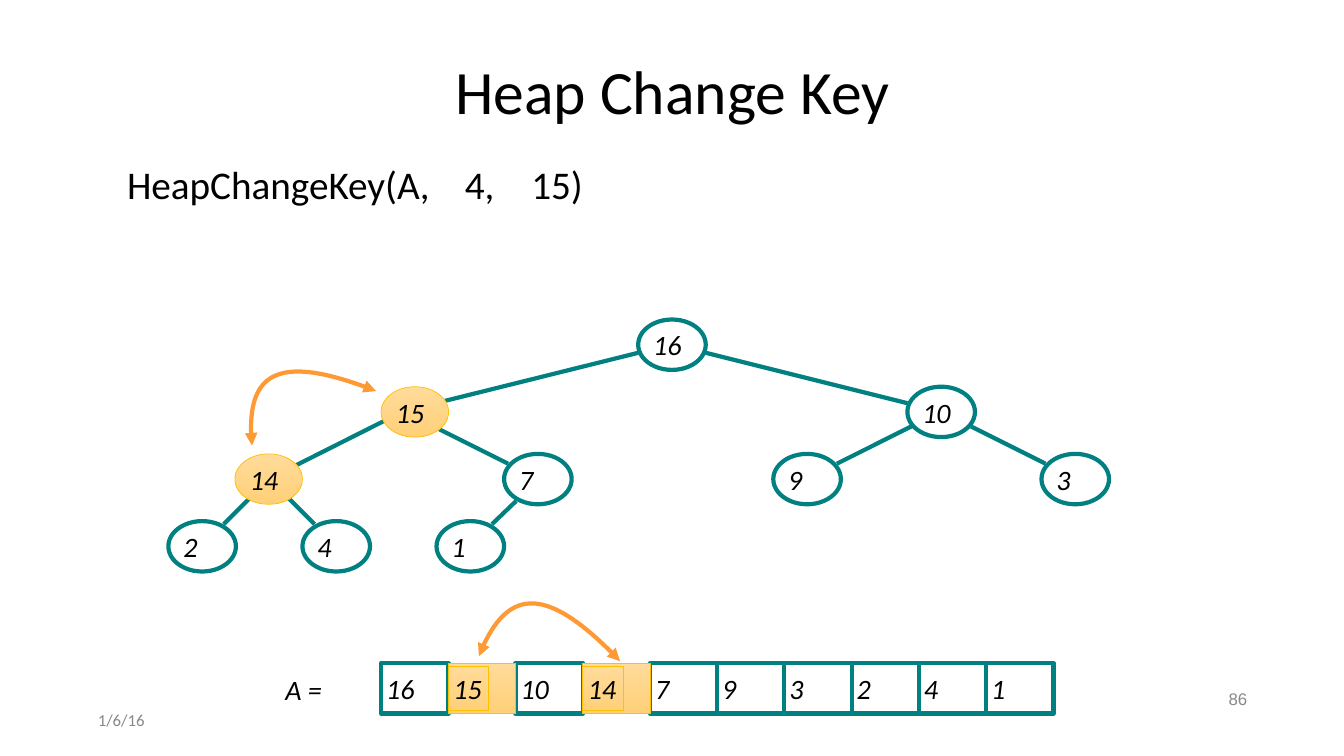
from lxml import etree
from pptx import Presentation
from pptx.dml.color import RGBColor
from pptx.enum.shapes import MSO_CONNECTOR, MSO_SHAPE
from pptx.enum.text import MSO_ANCHOR, PP_ALIGN
from pptx.oxml.ns import qn
from pptx.util import Inches, Pt

OVAL, RECT = MSO_SHAPE.OVAL, MSO_SHAPE.RECTANGLE
STRAIGHT = MSO_CONNECTOR.STRAIGHT
MIDDLE, TOP = MSO_ANCHOR.MIDDLE, MSO_ANCHOR.TOP
LEFT, CENTER, RIGHT = PP_ALIGN.LEFT, PP_ALIGN.CENTER, PP_ALIGN.RIGHT

BLACK = RGBColor(0x00, 0x00, 0x00)
WHITE = RGBColor(0xFF, 0xFF, 0xFF)
GRAY = RGBColor(0x88, 0x88, 0x88)
TEAL = RGBColor(0x00, 0x80, 0x80)
ORANGE = RGBColor(0xFF, 0x99, 0x33)
GOLD = RGBColor(0xFF, 0xC0, 0x00)
PALE = RGBColor(0xFF, 0xDB, 0x9B)
SAND = RGBColor(0xFF, 0xD0, 0x78)

# Heap in level order, with the left edge of each tree node
KEYS = [16, 15, 10, 14, 7, 9, 3, 2, 4, 1]
LEFTS = [6.33, 3.78, 9, 2.33, 5, 7.67, 10.33, 1.67, 3, 4.33]
HOT = [1, 3]
PLAIN = [i for i in range(len(KEYS)) if i not in HOT]
STEP, WIDE, HIGH = 2 / 3, 0.67, 0.5
TREE_TOP, ROW_LEFT, ROW_TOP = 3.17, 3.78, 6.58

EDGES = [
    (6.33, 3.5, 4, 4.08), (4, 4.08, 2.67, 4.75), (2.67, 4.75, 2.22, 5.2),
    (2.67, 4.75, 3.12, 5.2), (4, 4.08, 5.04, 4.6), (5.12, 4.97, 4.88, 5.2),
    (7, 3.5, 9, 4), (9.63, 4.23, 10.37, 4.6), (8.3, 4.6, 9.04, 4.23),
]
SWAPS = [
    [(6.15, 6.56), (5.47, 5.84), (5.01, 5.83), (4.75, 6.51)],
    [(3.73, 3.88), (2.83, 3.52), (2.42, 3.7), (2.5, 4.42)],
]


def write(frame, text, size=20, color=BLACK, font="Calibri", italic=False,
          align=LEFT, anchor=MIDDLE, pad=0.05, wrap=True, space=None,
          before=None):
    """Fill a text frame with one formatted paragraph; return it."""
    frame.word_wrap = wrap
    frame.vertical_anchor = anchor
    frame.margin_left = frame.margin_right = Inches(0.05)
    frame.margin_top = frame.margin_bottom = Inches(pad)
    para = frame.paragraphs[0]
    para.alignment = align
    para.line_spacing = space
    para.space_before = before
    run = para.add_run()
    run.text = text
    run.font.name, run.font.size = font, Pt(size)
    run.font.italic, run.font.color.rgb = italic, color
    return para


class Board:
    def __init__(self, deck):
        self.slide = deck.slides.add_slide(deck.slide_layouts[5])
        self.shapes = self.slide.shapes

    def title(self, text, *box):
        head = self.shapes.title
        head.left, head.top, head.width, head.height = map(Inches, box)
        write(head.text_frame, text, size=44, align=CENTER, space=0.9)

    def label(self, text, *box, **style):
        area = self.shapes.add_textbox(*map(Inches, box))
        return write(area.text_frame, text, **style)

    def box(self, kind, left, top, width=WIDE, height=HIGH, text="", hot=False):
        shape = self.shapes.add_shape(
            kind, *map(Inches, (left, top, width, height)))
        shape.shadow.inherit = False
        if hot:
            shape.fill.gradient()
            shape.fill.gradient_angle = 270
            for stop, color in zip(shape.fill.gradient_stops, (PALE, SAND)):
                stop.color.rgb = color
        else:
            shape.fill.solid()
            shape.fill.fore_color.rgb = WHITE
        shape.line.color.rgb = GOLD if hot else TEAL
        shape.line.width = Pt(0.5 if hot else 3)
        if text:
            write(shape.text_frame, text, italic=True, pad=0)

    def node(self, i):
        level = (i + 1).bit_length() - 1
        self.box(OVAL, LEFTS[i], TREE_TOP + level * STEP,
                 text=str(KEYS[i]), hot=i in HOT)

    def cell(self, i):
        left, key = ROW_LEFT + i * STEP, str(KEYS[i])
        if i in HOT:
            self.box(RECT, left, ROW_TOP, hot=True)
            self.box(RECT, left, ROW_TOP + 0.03, 0.4, 0.44, key, hot=True)
        else:
            self.box(RECT, left, ROW_TOP, text=key)

    def edge(self, *ends):
        line = self.shapes.add_connector(STRAIGHT, *map(Inches, ends))
        line.line.color.rgb, line.line.width = TEAL, Pt(3)
        etree.SubElement(line._element.spPr, qn("a:effectLst"))

    def swap(self, points):
        """Draw a cubic curve with an arrowhead at both ends."""
        start, *rest = [(Inches(x), Inches(y)) for x, y in points]
        pen = self.shapes.build_freeform(*start)
        pen.add_line_segments(rest, close=False)
        arc = pen.convert_to_shape()
        arc.shadow.inherit = False
        arc.fill.background()
        arc.line.color.rgb, arc.line.width = ORANGE, Pt(3)
        trace = arc._element.find(".//" + qn("a:path"))
        curve = etree.SubElement(trace, qn("a:cubicBezTo"))
        for leg in trace.findall(qn("a:lnTo")):
            curve.append(leg[0])
            trace.remove(leg)
        stroke = arc._element.spPr.find(qn("a:ln"))
        for end in ("a:headEnd", "a:tailEnd"):
            etree.SubElement(stroke, qn(end), type="triangle")


def main():
    deck = Presentation()
    deck.slide_width, deck.slide_height = Inches(13.33), Inches(7.5)
    board = Board(deck)

    # Title, call and footer
    board.title("Heap Change Key", 0.92, 0.4, 11.5, 1.07)
    call = board.label("HeapChangeKey(A,\t4,\t15)", 1.21, 1.59, 4.69, 0.58,
                       size=28, anchor=TOP, space=0.9, before=Pt(10))
    tabs = etree.SubElement(call._p.get_or_add_pPr(), qn("a:tabLst"))
    for stop in (3.35, 4.01):
        etree.SubElement(tabs, qn("a:tab"), pos=str(Inches(stop)), algn="l")
    board.label("1/6/16", 0.92, 7, 3, 0.29, size=12, color=GRAY)
    board.label("86", 9.42, 6.8, 3, 0.29, size=12, color=GRAY, font="Arial",
                align=RIGHT, space=0.9)

    # Tree: the swapped nodes lie over the edges
    for i in PLAIN:
        board.node(i)
    for ends in EDGES:
        board.edge(*ends)
    for i in HOT:
        board.node(i)

    # Array: the swapped cells lie over their neighbours
    board.label("A =", 2.78, 6.62, 0.48, 0.43, italic=True, wrap=False)
    for i in PLAIN + HOT:
        board.cell(i)

    # Swap arrows
    for points in SWAPS:
        board.swap(points)

    deck.save("out.pptx")


if __name__ == "__main__":
    main()
